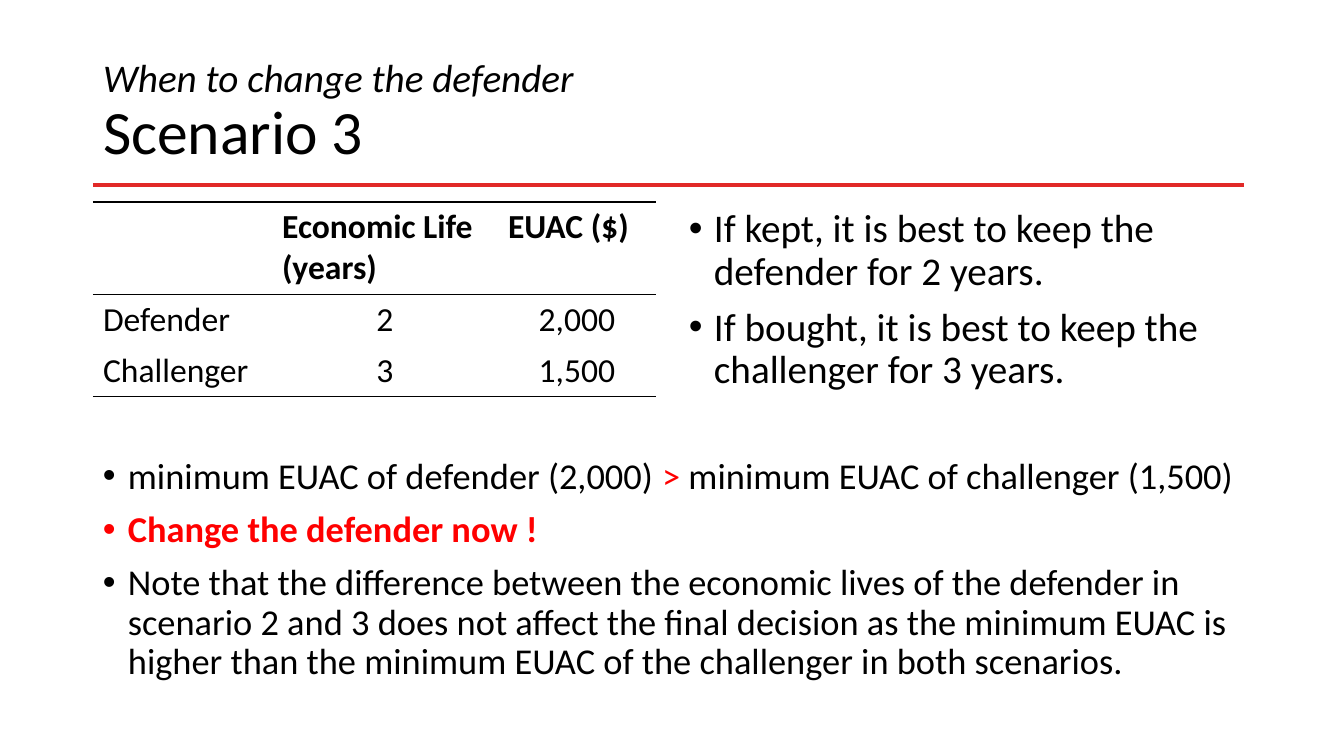
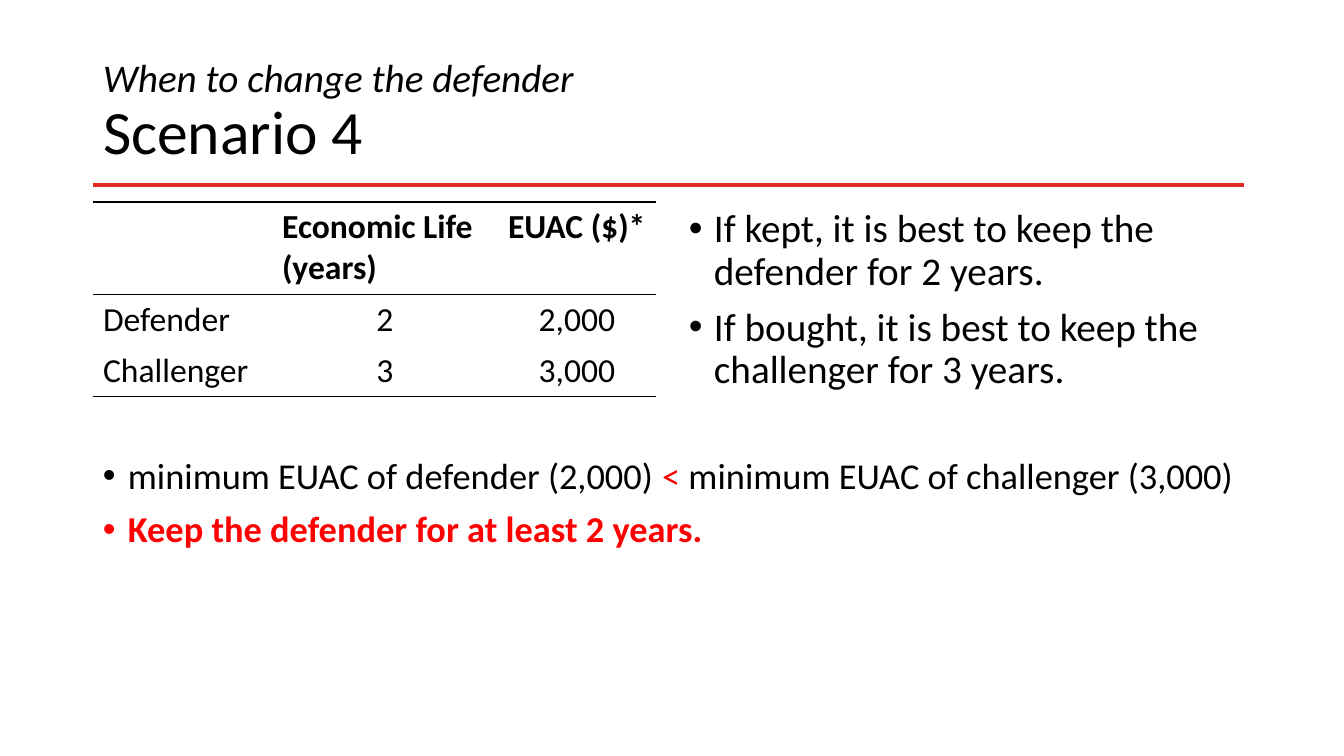
from lxml import etree
from pptx import Presentation
from pptx import util as u
from pptx.dml.color import RGBColor
from pptx.enum import shapes, text
from pptx.oxml.ns import qn

HUES = {"ink": "000000", "rule": "E12927", "red": "FF0000"}
FONT = "Calibri"
LEFT, WIDE = 93, 1159
COLS, ROWS = (179, 226, 158), (92, 51, 51)
KEPT = ["If kept, it is best to keep the defender for 2 years.",
        "If bought, it is best to keep the challenger for 3 years."]
NOTE = ("Note that the difference between the economic lives of the defender in "
        "scenario 2 and 3 does not affect the final decision as the minimum EUAC is "
        "higher than the minimum EUAC of the challenger in both scenarios.")


def px(num):
    """Turn px into EMU."""
    return u.Emu(round(num * 914400 / 100.8))


def hue(name):
    """Look up a named colour."""
    return RGBColor.from_string(HUES[name])


def write(para, words, size=24, color="ink", bold=False, italic=False):
    """Add one formatted run to a paragraph."""
    run = para.add_run()
    run.text = words
    font = run.font
    font.name, font.size = FONT, u.Pt(size)
    font.bold, font.italic = bold, italic
    font.color.rgb = hue(color)


def head(slide, name):
    """Fill the title and draw the rule below it."""
    title = slide.shapes.title
    title.left, title.top, title.width, title.height = map(px, (LEFT, 40, WIDE, 146))
    frame = title.text_frame
    frame.auto_size = text.MSO_AUTO_SIZE.NONE
    frame.vertical_anchor = text.MSO_ANCHOR.MIDDLE
    para = frame.paragraphs[0]
    para.alignment, para.line_spacing = text.PP_ALIGN.LEFT, 0.9
    write(para, "When to change the defender", size=28, italic=True)
    para.add_line_break()
    etree.SubElement(para._p[-1], qn("a:rPr"), sz="2800")
    write(para, name, size=44)
    line = slide.shapes.add_connector(
        shapes.MSO_CONNECTOR.STRAIGHT, px(LEFT), px(185), px(1244), px(185))
    line.line.color.rgb, line.line.width = hue("rule"), u.Pt(3)
    etree.SubElement(line._element.spPr, qn("a:effectLst"))


def bullet(para):
    """Give a paragraph a hanging round bullet."""
    prop = para._p.get_or_add_pPr()
    prop.set("marL", str(px(25)))
    prop.set("indent", str(px(-25)))
    etree.SubElement(prop, qn("a:buFont"), typeface="Arial")
    etree.SubElement(prop, qn("a:buChar"), char="•")


def points(slide, box, items, size):
    """Add a bulleted text box; each item is a list of (words, format) runs."""
    frame = slide.shapes.add_textbox(*map(px, box)).text_frame
    frame.word_wrap = True
    for num, runs in enumerate(items):
        para = frame.add_paragraph() if num else frame.paragraphs[0]
        bullet(para)
        para.line_spacing = 0.9
        para.space_before = u.Pt(10 if num else 0)
        for words, form in runs:
            write(para, words, size=size, **form)


def edge(cell, top, base):
    """Draw a cell's top and bottom borders and clear its other sides."""
    prop = cell._tc.get_or_add_tcPr()
    for side, shown in (("L", False), ("R", False), ("T", top), ("B", base)):
        line = etree.SubElement(prop, qn(f"a:ln{side}"), w=str(u.Pt(1)))
        if shown:
            fill = etree.SubElement(line, qn("a:solidFill"))
            etree.SubElement(fill, qn("a:srgbClr"), val=HUES["ink"])
        else:
            etree.SubElement(line, qn("a:noFill"))
    cell.fill.background()


def grid(slide, data):
    """Add the cost table."""
    table = slide.shapes.add_table(
        len(ROWS), len(COLS), px(LEFT), px(202), px(sum(COLS)), px(sum(ROWS))).table
    table.first_row = table.horz_banding = False
    for col, wide in zip(table.columns, COLS):
        col.width = px(wide)
    for r, (high, row) in enumerate(zip(ROWS, data)):
        table.rows[r].height = px(high)
        for c, words in enumerate(row):
            cell = table.cell(r, c)
            edge(cell, top=r < 2, base=r in (0, len(ROWS) - 1))
            if words:
                para = cell.text_frame.paragraphs[0]
                if r and c:
                    para.alignment = text.PP_ALIGN.CENTER
                write(para, words, bold=r == 0)


def build(deck, num, label, sign, cost, verdict, *notes):
    """Build one scenario slide."""
    slide = deck.slides.add_slide(deck.slide_layouts[5])
    head(slide, f"Scenario {num}")
    grid(slide, [("", "Economic Life (years)", label),
                 ("Defender", "2", "2,000"),
                 ("Challenger", "3", cost)])
    points(slide, (679, 204, 563, 260), [[(words, {})] for words in KEPT], 28)
    items = [[("minimum EUAC of defender (2,000) ", {}),
              (sign, {"color": "red"}),
              (f" minimum EUAC of challenger ({cost})", {})],
             [(verdict, {"color": "red", "bold": True})]]
    items += [[(words, {})] for words in notes]
    points(slide, (LEFT, 453, WIDE, 275), items, 26)


def main():
    """Build and save the deck."""
    deck = Presentation()
    deck.slide_width, deck.slide_height = px(1344), px(756)
    build(deck, 3, "EUAC ($)", ">", "1,500", "Change the defender now !", NOTE)
    build(deck, 4, "EUAC ($)*", "<", "3,000", "Keep the defender for at least 2 years.")
    deck.save("out.pptx")


if __name__ == "__main__":
    main()
